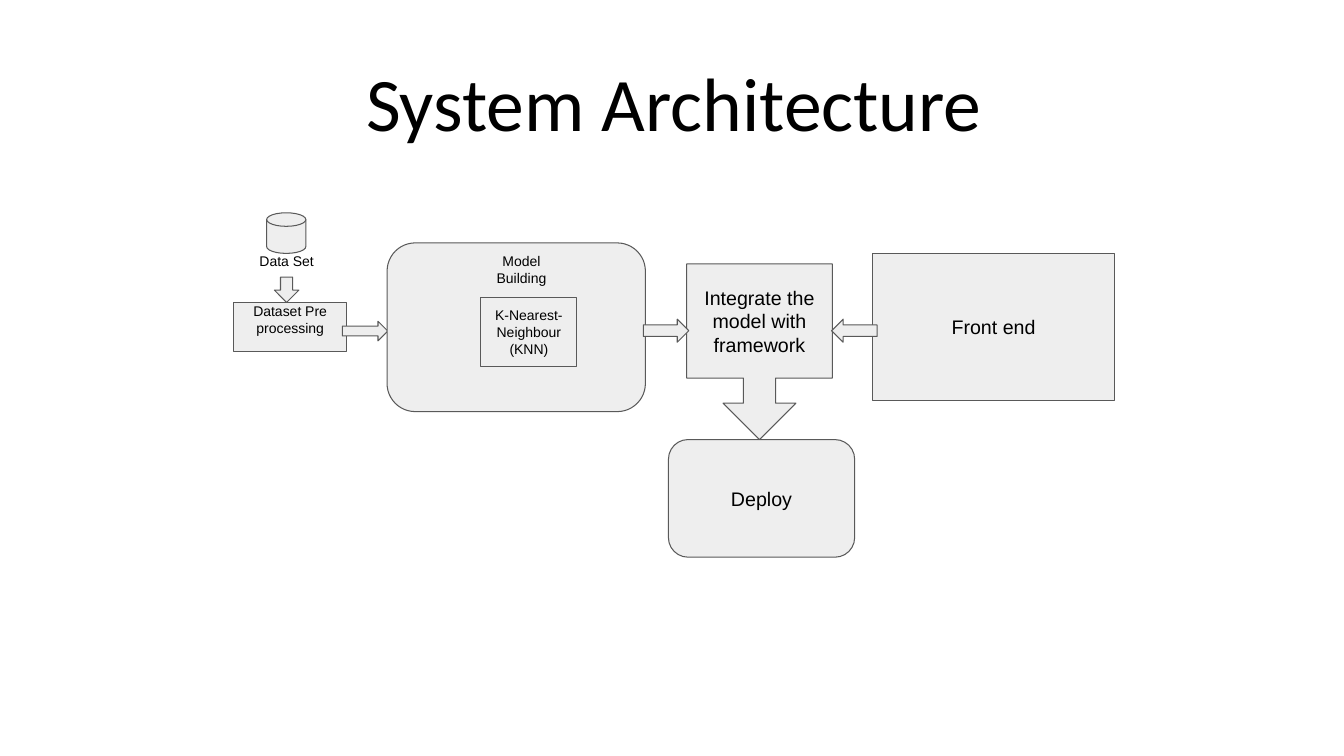
from pptx import Presentation
from pptx import util as u
from pptx.dml.color import RGBColor
from pptx.enum import shapes, text

BLACK = RGBColor(0x00, 0x00, 0x00)
PALE = RGBColor(0xEE, 0xEE, 0xEE)
GREY = RGBColor(0x59, 0x59, 0x59)
WHITE = RGBColor(0xFF, 0xFF, 0xFF)
KIND = shapes.MSO_SHAPE
MIDDLE = text.MSO_ANCHOR.MIDDLE
TOP = text.MSO_ANCHOR.TOP
INSET = 7.2


def write(shape, lines, size, anchor=MIDDLE, top=INSET, font="Arial"):
    """Fill a shape with centred black paragraphs."""
    frame = shape.text_frame
    frame.word_wrap = True
    frame.auto_size = text.MSO_AUTO_SIZE.NONE
    frame.vertical_anchor = anchor
    frame.margin_left = frame.margin_right = frame.margin_bottom = u.Pt(INSET)
    frame.margin_top = u.Pt(top)
    frame.text = lines
    for paragraph in frame.paragraphs:
        paragraph.alignment = text.PP_ALIGN.CENTER
        paragraph.font.size = u.Pt(size)
        paragraph.font.name = font
        paragraph.font.color.rgb = BLACK


def add_block(slide, kind, box, adjustments=()):
    """Add a pale preset shape with a thin grey outline."""
    shape = slide.shapes.add_shape(kind, *map(u.Pt, box))
    shape.shadow.inherit = False
    shape.fill.solid()
    shape.fill.fore_color.rgb = PALE
    shape.line.color.rgb = GREY
    shape.line.width = u.Pt(0.75)
    for index, value in enumerate(adjustments):
        shape.adjustments[index] = value
    return shape


def add_label(slide, lines, box):
    """Add a small caption."""
    label = slide.shapes.add_textbox(*map(u.Pt, box))
    write(label, lines, 10, TOP)


def add_title(slide, box):
    """Place and format the slide title."""
    title = slide.shapes.title
    title.left, title.top, title.width, title.height = map(u.Pt, box)
    write(title, "System Architecture", 54, text.MSO_ANCHOR.BOTTOM, 3.6, "Calibri")
    title.text_frame.margin_bottom = u.Pt(3.6)
    title.text_frame.paragraphs[0].line_spacing = 0.9


def add_dataset(slide, box):
    """Draw the data store flowing down into preprocessing."""
    left, top, width, height = box
    add_block(slide, KIND.FLOWCHART_MAGNETIC_DISK, (left + 23.5, top, 28, 29))
    add_label(slide, "Data Set", (left + 8.5, top + 21, 58.5, 39))
    add_block(slide, KIND.DOWN_ARROW, (left + 29, top + 46, 17.5, 18))
    preprocessing = add_block(slide, KIND.RECTANGLE, (left, top + 64, width, height - 64))
    write(preprocessing, "Dataset Pre processing", 10, TOP, 0)


def add_model(slide, box):
    """Draw the model building stage with its algorithm."""
    left, top, width, height = box
    add_block(slide, KIND.ROUNDED_RECTANGLE, box, [0.167])
    add_label(slide, "Model Building", (left + 57, top, 78, 39))
    algorithm = add_block(slide, KIND.RECTANGLE, (left + 67, top + 39, 68.5, 49))
    write(algorithm, "K-Nearest-Neighbour\n(KNN)", 10)


def add_integration(slide, box):
    """Draw the integration callout pointing down to deployment."""
    left, top, width, height = box
    callout = add_block(slide, KIND.DOWN_ARROW_CALLOUT, (left + 13, top, 104, 125.5),
                        [0.222, 0.25, 0.25, 0.65])
    write(callout, "Integrate the model with framework", 14)
    deploy = add_block(slide, KIND.ROUNDED_RECTANGLE,
                       (left, top + 125.5, width, height - 125.5), [0.167])
    write(deploy, "Deploy", 14)


def add_front_end(slide, box):
    """Draw the front end block."""
    write(add_block(slide, KIND.RECTANGLE, box), "Front end", 14)


def build():
    """Build and save the architecture slide."""
    presentation = Presentation()
    presentation.slide_width, presentation.slide_height = u.Pt(960), u.Pt(540)
    slide = presentation.slides.add_slide(presentation.slide_layouts[5])
    slide.background.fill.solid()
    slide.background.fill.fore_color.rgb = WHITE
    add_title(slide, (121.5, 40, 720, 69))
    add_dataset(slide, (167, 152, 80.5, 99))
    add_block(slide, KIND.RIGHT_ARROW, (244.5, 229.5, 32.5, 14))
    add_model(slide, (276.5, 173.5, 184.5, 120.5))
    add_integration(slide, (477.5, 188.5, 133, 209.5))
    add_front_end(slide, (623.5, 181, 172.5, 105))
    add_block(slide, KIND.RIGHT_ARROW, (459.5, 228, 32.5, 16.5))
    add_block(slide, KIND.LEFT_ARROW, (594, 228, 32.5, 16.5))
    presentation.save("out.pptx")


build()
